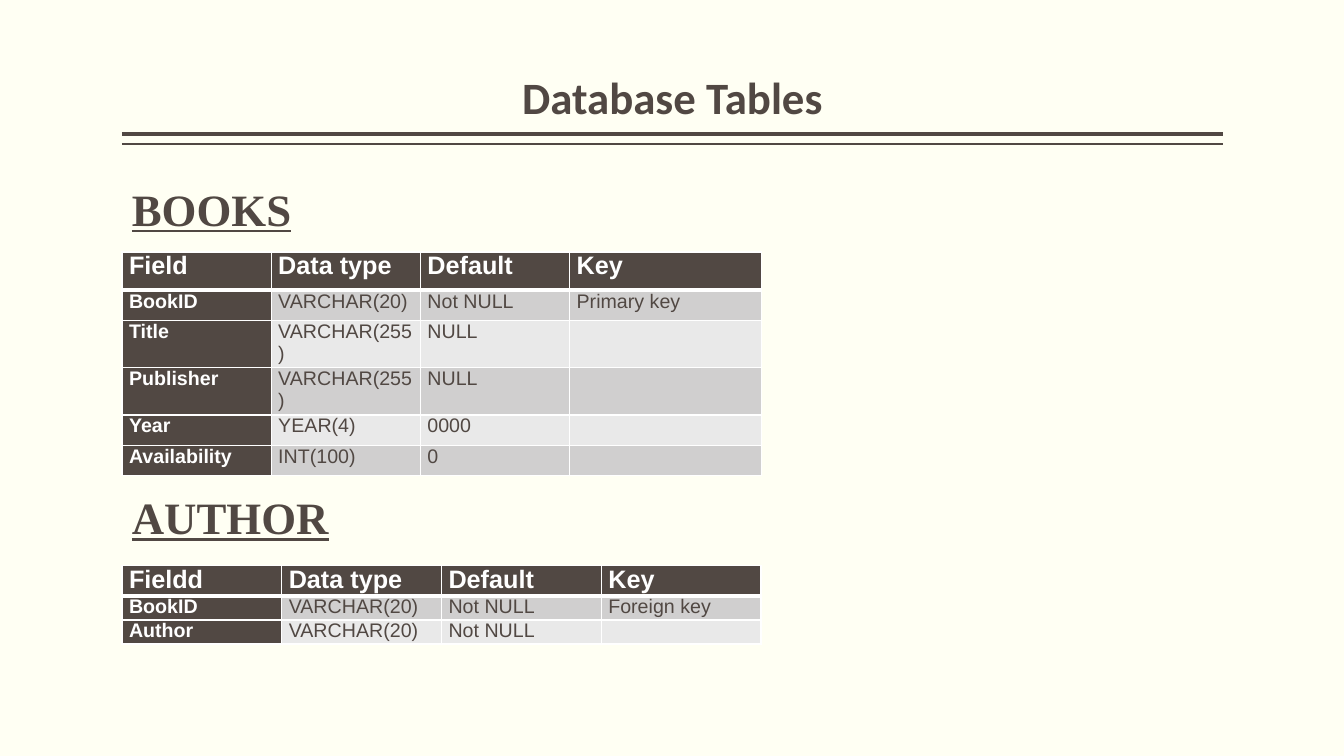
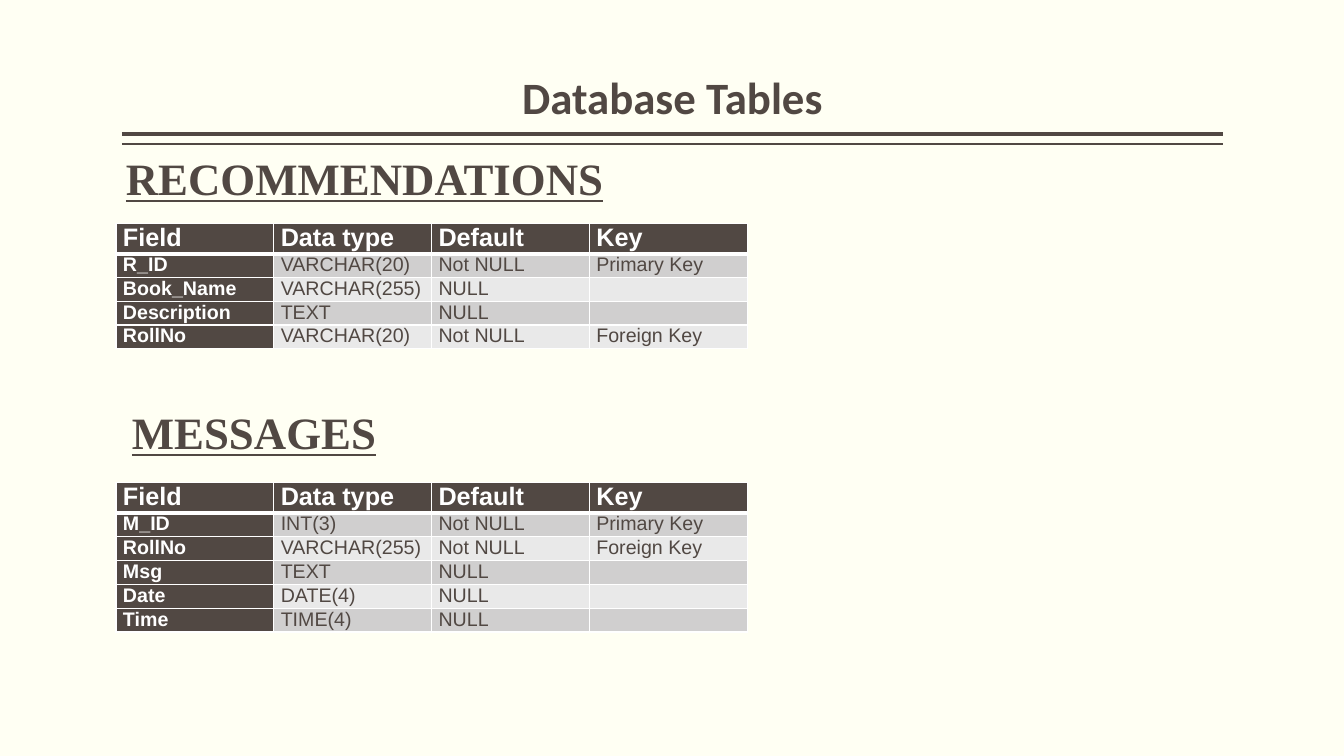
from lxml.etree import SubElement
from pptx import Presentation
from pptx.dml.color import RGBColor
from pptx.enum.shapes import MSO_CONNECTOR
from pptx.enum.text import MSO_ANCHOR, MSO_AUTO_SIZE, PP_ALIGN
from pptx.oxml.ns import qn
from pptx.util import Inches, Pt

BROWN, CREAM, WHITE = "514843", "FFFFF3", "FFFFFF"
BANDS = ("D0CFCF", "E9E9E9")
HEADER = ("Field", "Data type", "Default", "Key")
LEFT, WIDTH = 1.21, 10.92


def color(value):
    return RGBColor.from_string(value)


def write(paragraph, text, font="Arial", size=14, ink=BROWN, bold=False,
          underline=False, align=None, spacing=None):
    """Put one formatted span in a paragraph; empty text keeps only the size."""
    paragraph.alignment = align
    paragraph.line_spacing = spacing
    if not text:
        SubElement(paragraph._p, qn("a:endParaRPr"), sz=str(size * 100))
        return
    span = paragraph.add_run()
    span.text = text
    span.font.name = font
    span.font.size = Pt(size)
    span.font.bold = bold
    span.font.underline = underline
    span.font.color.rgb = color(ink)


def set_margins(target, left, top):
    target.margin_left = target.margin_right = Inches(left)
    target.margin_top = target.margin_bottom = Inches(top)


def set_borders(cell, top, bottom):
    """Draw white cell borders, with the given top and bottom weights."""
    properties = cell._tc.get_or_add_tcPr()
    for side, weight in (("L", 1), ("R", 1), ("T", top), ("B", bottom)):
        line = SubElement(properties, qn(f"a:ln{side}"), w=str(Pt(weight)))
        fill = SubElement(line, qn("a:solidFill"))
        SubElement(fill, qn("a:srgbClr"), val=WHITE)


class TableDeck:
    def __init__(self):
        self.deck = Presentation()
        self.deck.slide_width = Inches(13.33)
        self.deck.slide_height = Inches(7.5)
        background = self.deck.slide_master.background.fill
        background.solid()
        background.fore_color.rgb = color(CREAM)
        self.page = None

    def add_page(self, title):
        self.page = self.deck.slides.add_slide(self.deck.slide_layouts[5])
        # Double rule below the title
        self.add_rule(1.33, 3)
        self.add_rule(1.43, 1)
        # Title
        box = self.page.shapes.title
        box.left, box.top = Inches(LEFT), Inches(0.08)
        box.width, box.height = Inches(WIDTH), Inches(1.2)
        frame = box.text_frame
        frame.auto_size = MSO_AUTO_SIZE.NONE
        frame.vertical_anchor = MSO_ANCHOR.BOTTOM
        set_margins(frame, 0, 0.05)
        write(frame.paragraphs[0], title, font="Calibri", size=32, bold=True,
              align=PP_ALIGN.CENTER, spacing=0.9)

    def add_rule(self, top, weight):
        rule = self.page.shapes.add_connector(
            MSO_CONNECTOR.STRAIGHT, Inches(LEFT), Inches(top),
            Inches(LEFT + WIDTH), Inches(top))
        rule.line.color.rgb = color(BROWN)
        rule.line.width = Pt(weight)
        SubElement(rule._element.spPr, qn("a:effectLst"))

    def add_heading(self, text, left, top, width):
        box = self.page.shapes.add_textbox(
            Inches(left), Inches(top), Inches(width), Inches(0.64))
        box.text_frame.word_wrap = True
        write(box.text_frame.paragraphs[0], text, font="Times New Roman",
              size=32, bold=True, underline=True)

    def add_table(self, rows, left, top, widths, height, header_height=0.29):
        table = self.page.shapes.add_table(
            len(rows), len(widths), Inches(left), Inches(top),
            Inches(sum(widths)), Inches(height)).table
        for column, width in zip(table.columns, widths):
            column.width = Inches(width)
        row_height = (height - header_height) / (len(rows) - 1)
        for r, values in enumerate(rows):
            table.rows[r].height = Inches(row_height if r else header_height)
            for c, value in enumerate(values):
                self.fill_cell(table.cell(r, c), value, r, c)

    def fill_cell(self, cell, value, row, column):
        strong = row == 0 or column == 0
        set_margins(cell, 0.07, 0)
        set_borders(cell, top=3 if row == 1 else 1, bottom=1 if row else 3)
        cell.fill.solid()
        cell.fill.fore_color.rgb = color(BROWN if strong else BANDS[(row - 1) % 2])
        write(cell.text_frame.paragraphs[0], value, size=14 if row else 18,
              ink=WHITE if strong else BROWN, bold=strong)


def main():
    style = TableDeck()

    # Books and authors
    style.add_page("Database Tables")
    style.add_heading("BOOKS", LEFT, 1.75, 1.9)
    style.add_table([
        HEADER,
        ("BookID", "VARCHAR(20)", "Not NULL", "Primary key"),
        ("Title", "VARCHAR(255)", "NULL", ""),
        ("Publisher", "VARCHAR(255)", "NULL", ""),
        ("Year", "YEAR(4)", "0000", ""),
        ("Availability", "INT(100)", "0", ""),
    ], LEFT, 2.5, [1.48] * 3 + [1.9], 1.89, header_height=0.38)
    style.add_heading("AUTHOR", LEFT, 4.81, 2.3)
    style.add_table([
        ("Fieldd",) + HEADER[1:],
        ("BookID", "VARCHAR(20)", "Not NULL", "Foreign key"),
        ("Author", "VARCHAR(20)", "Not NULL", ""),
    ], LEFT, 5.61, [6.34 / 4] * 4, 0.77)

    # Recommendations and messages
    style.add_page("Database Tables")
    table_left, widths = 1.15, [6.26 / 4] * 4
    style.add_heading("RECOMMENDATIONS", table_left, 1.45, 5)
    style.add_table([
        HEADER,
        ("R_ID", "VARCHAR(20)", "Not NULL", "Primary Key"),
        ("Book_Name", "VARCHAR(255)", "NULL", ""),
        ("Description", "TEXT", "NULL", ""),
        ("RollNo", "VARCHAR(20)", "Not NULL", "Foreign Key"),
    ], table_left, 2.22, widths, 1.23)
    style.add_heading("MESSAGES", LEFT, 3.97, 3.61)
    style.add_table([
        HEADER,
        ("M_ID", "INT(3)", "Not NULL", "Primary Key"),
        ("RollNo", "VARCHAR(255)", "Not NULL", "Foreign Key"),
        ("Msg", "TEXT", "NULL", ""),
        ("Date", "DATE(4)", "NULL", ""),
        ("Time", "TIME(4)", "NULL", ""),
    ], table_left, 4.79, widths, 1.47)

    style.deck.save("out.pptx")


if __name__ == "__main__":
    main()
